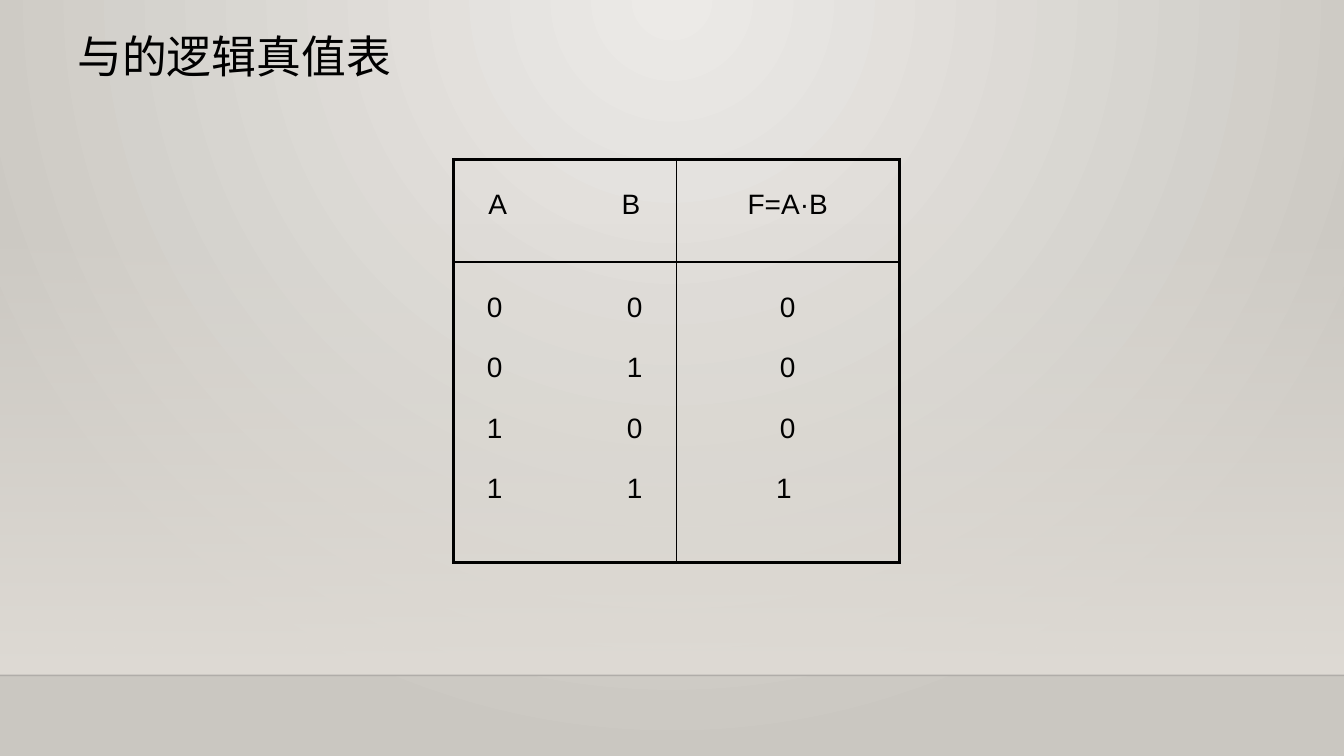
from dataclasses import dataclass

from lxml import etree
from pptx import Presentation
from pptx.dml.color import RGBColor
from pptx.enum.shapes import MSO_CONNECTOR, MSO_SHAPE
from pptx.enum.text import PP_ALIGN
from pptx.oxml.ns import qn
from pptx.util import Cm, Pt

RECTANGLE = MSO_SHAPE.RECTANGLE
STRAIGHT = MSO_CONNECTOR.STRAIGHT
CENTER, LEFT = PP_ALIGN.CENTER, PP_ALIGN.LEFT


@dataclass(frozen=True)
class Theme:
    ink: str = "000000"
    glow: str = "ECEAE7"
    edge: str = "CAC7C1"
    wall: str = "DFDBD5"
    floor_line: str = "000001"
    title_font: str = "Calibri"
    table_font: str = "Arial"
    title_size: float = 32
    table_size: float = 20
    outer_border: float = 2.25
    inner_border: float = 1


THEME = Theme()
SLIDE_WIDTH, SLIDE_HEIGHT = Cm(33.87), Cm(19.05)

HEADER = (["\tA\tB"], ["F=A·B"])
VALUES = (["\t0\t0", "\t0\t1", "\t1\t0", "\t1\t1"], ["0", "0", "0", "1 "])
ROW_HEIGHTS = (Cm(2.59), Cm(7.57))
INPUT_TABS = ((Cm(0.86), Cm(4.22)), (Cm(0.78), Cm(4.31)))


def add_child(parent, tag, **attributes):
    child = etree.SubElement(parent, qn(tag))
    for name, value in attributes.items():
        child.set(name, str(value))
    return child


def set_opacity(color_parent, percent):
    color = next(color_parent.iter(qn("a:srgbClr")))
    add_child(color, "a:alpha", val=percent * 1000)


def set_gradient(fill, start, end):
    fill.gradient()
    for stop, color in zip(fill.gradient_stops, (start, end)):
        stop.color.rgb = RGBColor.from_string(color)


def style_font(font, name, size):
    font.name = name
    font.size = Pt(size)
    font.color.rgb = RGBColor.from_string(THEME.ink)


def paint_background(slide):
    """Radial glow centred at the top edge of the slide."""
    set_gradient(slide.background.fill, THEME.glow, THEME.edge)
    gradient = next(slide.background._cSld.iter(qn("a:gradFill")))
    gradient.remove(gradient.find(qn("a:lin")))
    circle = add_child(gradient, "a:path", path="circle")
    add_child(circle, "a:fillToRect", l=43000, t=0, r=43000, b=100000)


def add_wall(slide, left, top, width, height):
    """Wall that fades in downwards and ends in the floor line."""
    wall = slide.shapes.add_shape(RECTANGLE, left, top, width, height)
    wall.shadow.inherit = False
    wall.line.fill.background()
    set_gradient(wall.fill, THEME.wall, THEME.wall)
    wall.fill.gradient_angle = 270
    set_opacity(next(wall._element.iter(qn("a:gs"))), 0)

    bottom = top + height
    floor = slide.shapes.add_connector(STRAIGHT, left, bottom, left + width, bottom)
    floor.line.width = Pt(1)
    floor.line.color.rgb = RGBColor.from_string(THEME.floor_line)
    properties = floor._element.spPr
    set_opacity(properties, 20)
    add_child(properties, "a:effectLst")


def add_title(slide, left, top, width, height, text):
    frame = slide.shapes.add_textbox(left, top, width, height).text_frame
    frame.word_wrap = True
    title = frame.paragraphs[0]
    title.text = text
    title.line_spacing = 0.9
    style_font(title.font, THEME.title_font, THEME.title_size)


def set_borders(cell, row, column):
    """Thick on the outside of the two-by-two table, thin inside."""
    outer_sides = ("L" if column == 0 else "R", "T" if row == 0 else "B")
    properties = cell._tc.get_or_add_tcPr()
    for side in "LRTB":
        weight = THEME.outer_border if side in outer_sides else THEME.inner_border
        line = add_child(properties, f"a:ln{side}", w=Pt(weight))
        add_child(add_child(line, "a:solidFill"), "a:srgbClr", val=THEME.ink)


def fill_cell(cell, lines, tabs):
    frame = cell.text_frame
    for index, text in enumerate(lines):
        paragraph = frame.paragraphs[0] if index == 0 else frame.add_paragraph()
        paragraph.text = text
        paragraph.alignment = LEFT if tabs else CENTER
        paragraph.line_spacing = 1.8
        if index:
            paragraph.space_before = Pt(3)
        if tabs:
            tab_list = add_child(paragraph._p.get_or_add_pPr(), "a:tabLst")
            for position in tabs:
                add_child(tab_list, "a:tab", pos=position, algn="ctr")
        style_font(paragraph.font, THEME.table_font, THEME.table_size)


def add_truth_table(slide, left, top, width, height):
    table = slide.shapes.add_table(2, 2, left, top, width, height).table
    table.first_row = table.horz_banding = False
    for row, contents in enumerate((HEADER, VALUES)):
        table.rows[row].height = ROW_HEIGHTS[row]
        for column, lines in enumerate(contents):
            cell = table.cell(row, column)
            set_borders(cell, row, column)
            cell.fill.background()
            fill_cell(cell, lines, INPUT_TABS[row] if column == 0 else ())


def main():
    deck = Presentation()
    deck.slide_width, deck.slide_height = SLIDE_WIDTH, SLIDE_HEIGHT
    slide = deck.slides.add_slide(deck.slide_layouts[6])
    paint_background(slide)
    add_wall(slide, Cm(0), Cm(5.61), SLIDE_WIDTH, Cm(11.41))
    add_title(slide, Cm(1.7), Cm(0.76), Cm(30.48), Cm(3.18), "与的逻辑真值表")
    add_truth_table(slide, Cm(11.43), Cm(4.01), Cm(11.23), sum(ROW_HEIGHTS))
    deck.save("out.pptx")


if __name__ == "__main__":
    main()
